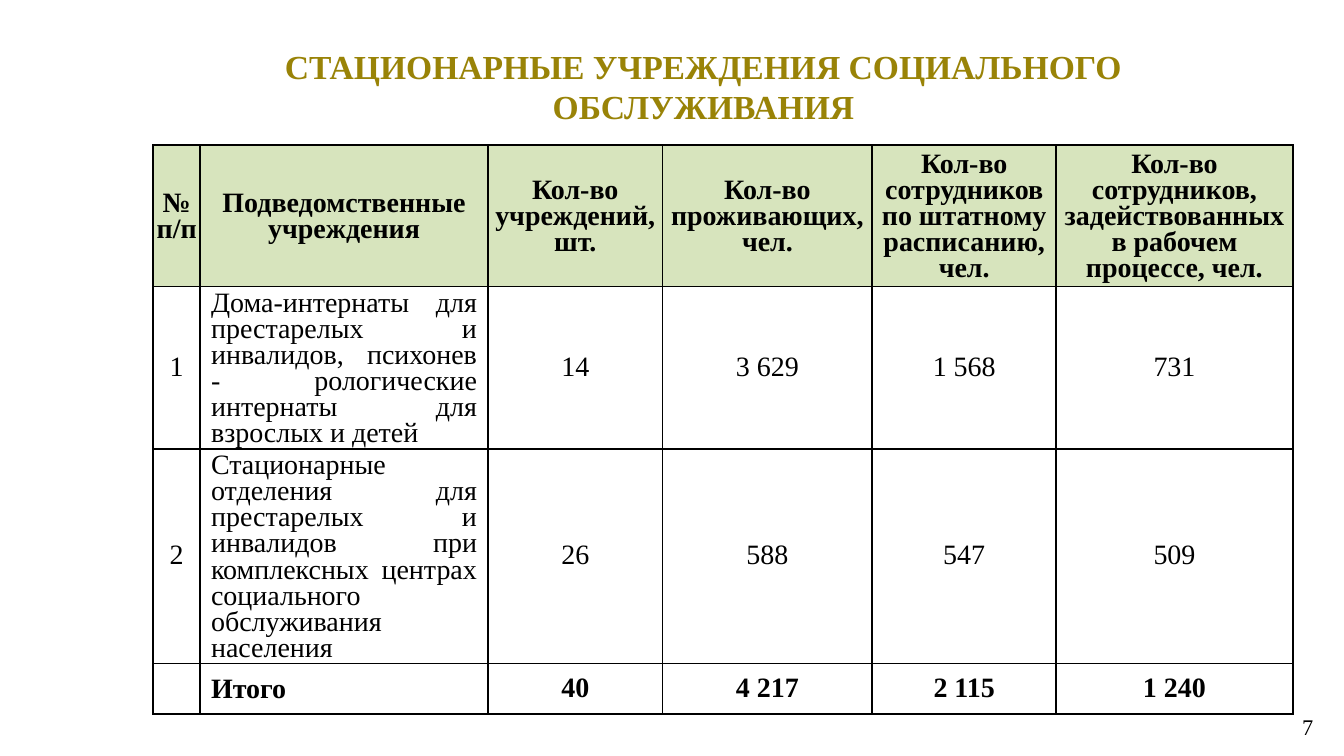
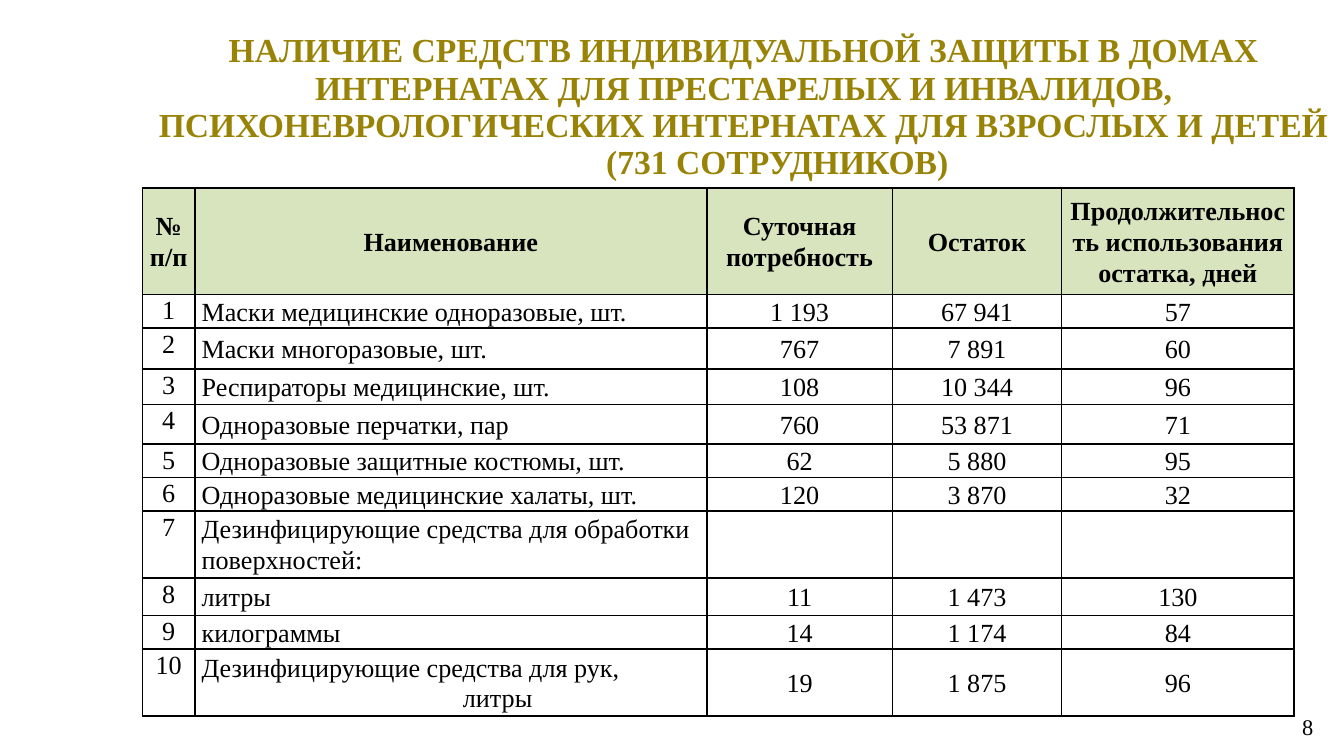
from lxml import etree
from pptx import Presentation
from pptx.dml.color import RGBColor
from pptx.enum import text
from pptx.oxml.ns import qn
from pptx.util import Pt

FONT = "Times New Roman"
GOLD, BLACK, HEADER_GREEN = "998307", "000000", "D7E4BD"
LEFT, CENTER, RIGHT, JUSTIFY = (
    text.PP_ALIGN.LEFT, text.PP_ALIGN.CENTER, text.PP_ALIGN.RIGHT, text.PP_ALIGN.JUSTIFY)
TOP, MIDDLE = text.MSO_ANCHOR.TOP, text.MSO_ANCHOR.MIDDLE

SLIDES = [
    {
        "number": "7",
        "title": ["СТАЦИОНАРНЫЕ УЧРЕЖДЕНИЯ СОЦИАЛЬНОГО ОБСЛУЖИВАНИЯ"],
        "title_at": (76.3, 20.9, 601.2, 50.4),
        "title_anchor": MIDDLE, "title_spacing": None, "title_indent": 0,
        "table_at": (82.1, 77.8), "size": 15, "spacing": Pt(14),
        "columns": [25.2, 154.1, 93.6, 112.3, 98.6, 126.7],
        "heights": [75, 87, 114.5, 27],
        "header_insets": (0, 4.3, 0, 1.4),
        "body_insets": (0, 2.9, 0, 1.4),
        "name_insets": (5.8, 2.9, 5.8, 0),
        "name_align": JUSTIFY, "number_anchor": MIDDLE, "name_indent": 0,
        "has_total": True,
        "rows": [
            ["№ п/п", "Подведомственные учреждения", "Кол-во учреждений, шт.",
             "Кол-во проживающих, чел.", "Кол-во сотрудников по штатному расписанию, чел.",
             "Кол-во сотрудников, задействованных в рабочем процессе, чел."],
            ["1", "Дома-интернаты для престарелых и инвалидов, психонев - рологические "
             "интернаты для взрослых и детей", "14", "3 629", "1 568", "731"],
            ["2", "Стационарные отделения для престарелых и инвалидов при комплексных "
             "центрах социального обслуживания населения", "26", "588", "547", "509"],
            ["", "Итого", "40", "4 217", "2 115", "1 240"],
        ],
    },
    {
        "number": "8",
        "title": ["НАЛИЧИЕ СРЕДСТВ ИНДИВИДУАЛЬНОЙ ЗАЩИТЫ В ДОМАХ ИНТЕРНАТАХ ДЛЯ ПРЕСТАРЕЛЫХ "
                  "И ИНВАЛИДОВ, ПСИХОНЕВРОЛОГИЧЕСКИХ ИНТЕРНАТАХ ДЛЯ ВЗРОСЛЫХ И ДЕТЕЙ",
                  "(731 СОТРУДНИКОВ)"],
        "title_at": (77, 13.7, 643, 71.3),
        "title_anchor": TOP, "title_spacing": Pt(20), "title_indent": 36,
        "table_at": (76.3, 100.8), "size": 14, "spacing": 1.07,
        "columns": [28.1, 274.3, 99.4, 90.7, 124.6],
        "heights": [57, 17, 22, 19, 21, 16.5, 17.5, 33, 20, 16.5, 33],
        "header_insets": (3.6, 0, 3.6, 0),
        "body_insets": (3.6, 0, 3.6, 0),
        "name_insets": (3.6, 0, 3.6, 0),
        "name_align": LEFT, "number_anchor": TOP, "name_indent": 140,
        "has_total": False,
        "rows": [
            ["№ п/п", "Наименование", "Суточная потребность", "Остаток",
             "Продолжительность использования остатка, дней"],
            ["1", "Маски медицинские одноразовые, шт.", "1 193", "67 941", "57"],
            ["2", "Маски многоразовые, шт.", "767", "7 891", "60"],
            ["3", "Респираторы медицинские, шт.", "108", "10 344", "96"],
            ["4", "Одноразовые перчатки, пар", "760", "53 871", "71"],
            ["5", "Одноразовые защитные костюмы, шт.", "62", "5 880", "95"],
            ["6", "Одноразовые медицинские халаты, шт.", "120", "3 870", "32"],
            ["7", "Дезинфицирующие средства для обработки поверхностей:", "", "", ""],
            ["8", "литры", "11", "1 473", "130"],
            ["9", "килограммы", "14", "1 174", "84"],
            ["10", "Дезинфицирующие средства для рук,\nлитры", "19", "1 875", "96"],
        ],
    },
]


def color(value):
    return RGBColor.from_string(value)


def write(frame, content, size, align, shade=BLACK, bold=False, spacing=None, indent=0):
    frame.word_wrap = True
    frame.text = content
    for index, paragraph in enumerate(frame.paragraphs):
        paragraph.alignment = align
        if spacing:
            paragraph.line_spacing = spacing
        if index and indent:
            properties = paragraph._p.get_or_add_pPr()
            properties.set("marL", str(Pt(indent)))
            properties.set("indent", "0")
        for span in paragraph.runs:
            span.font.name = FONT
            span.font.size = Pt(size)
            span.font.bold = bold
            span.font.color.rgb = color(shade)


def place(box, bounds):
    box.left, box.top, box.width, box.height = map(Pt, bounds)


def add_title(page, content):
    box = page.shapes.title
    place(box, content["title_at"])
    frame = box.text_frame
    frame.auto_size = text.MSO_AUTO_SIZE.NONE
    frame.vertical_anchor = content["title_anchor"]
    write(frame, "\n".join(content["title"]), 18, CENTER, GOLD, True,
          content["title_spacing"], content["title_indent"])
    for paragraph in frame.paragraphs:
        paragraph.space_before = Pt(0)


def add_number(page, number):
    box = page.shapes.add_textbox(Pt(542.9), Pt(378.7), Pt(167.8), Pt(21.6))
    box.text_frame.vertical_anchor = MIDDLE
    write(box.text_frame, number, 12, RIGHT)


def add_borders(cell):
    properties = cell._tc.get_or_add_tcPr()
    for index, side in enumerate(("lnL", "lnR", "lnT", "lnB")):
        line = etree.Element(qn("a:" + side), w=str(Pt(1)))
        fill = etree.SubElement(line, qn("a:solidFill"))
        etree.SubElement(fill, qn("a:srgbClr"), val=BLACK)
        properties.insert(index, line)


def format_cell(cell, value, row, column, content):
    is_header = row == 0
    is_total = content["has_total"] and row == len(content["rows"]) - 1
    is_name = column == 1 and not is_header
    align, anchor = CENTER, MIDDLE
    insets = content["header_insets" if is_header else "body_insets"]
    if is_name:
        insets = content["name_insets"]
        align = LEFT if is_total else content["name_align"]
    if column == 0 and not is_header:
        anchor = content["number_anchor"]
    cell.margin_left, cell.margin_top, cell.margin_right, cell.margin_bottom = map(Pt, insets)
    cell.vertical_anchor = anchor
    write(cell.text_frame, value, content["size"], align, bold=is_header or is_total,
          spacing=content["spacing"], indent=content["name_indent"])
    if is_header:
        cell.fill.solid()
        cell.fill.fore_color.rgb = color(HEADER_GREEN)
    else:
        cell.fill.background()
    add_borders(cell)


def add_table(page, content):
    rows, columns, heights = content["rows"], content["columns"], content["heights"]
    left, top = content["table_at"]
    table = page.shapes.add_table(len(rows), len(columns), Pt(left), Pt(top),
                                  Pt(sum(columns)), Pt(sum(heights))).table
    table.horz_banding = False
    table.first_row = False
    for column, width in zip(table.columns, columns):
        column.width = Pt(width)
    for row, height in zip(table.rows, heights):
        row.height = Pt(height)
    for row, values in enumerate(rows):
        for column, value in enumerate(values):
            format_cell(table.cell(row, column), value, row, column, content)


def main():
    deck = Presentation()
    deck.slide_width, deck.slide_height = Pt(720), Pt(405)
    for content in SLIDES:
        page = deck.slides.add_slide(deck.slide_layouts[5])
        add_title(page, content)
        add_number(page, content["number"])
        add_table(page, content)
    deck.save("out.pptx")


if __name__ == "__main__":
    main()
